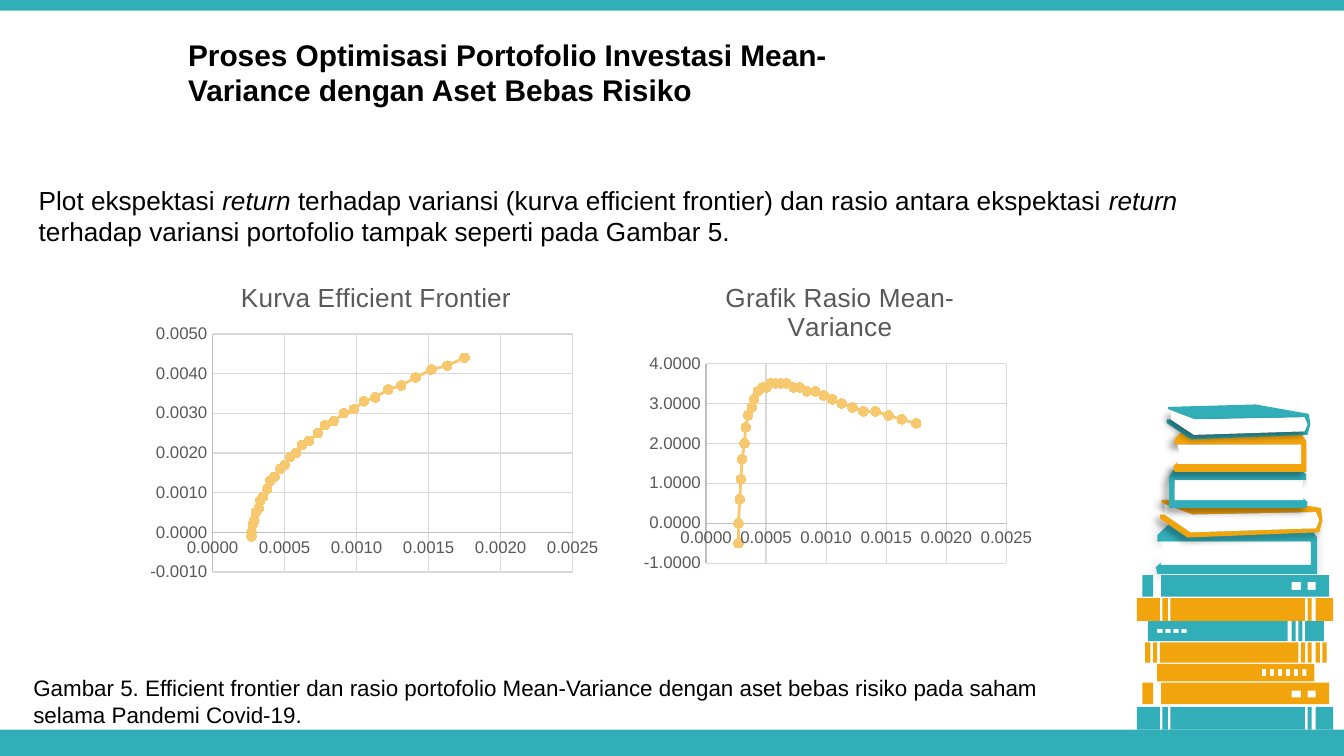
from dataclasses import dataclass

from lxml import etree
from pptx import Presentation
from pptx.chart.data import XyChartData
from pptx.dml.color import RGBColor
from pptx.enum.chart import XL_CHART_TYPE, XL_MARKER_STYLE, XL_TICK_MARK
from pptx.enum.shapes import MSO_SHAPE
from pptx.enum.text import MSO_ANCHOR, MSO_AUTO_SIZE, PP_ALIGN
from pptx.oxml import parse_xml
from pptx.oxml.ns import nsdecls, qn
from pptx.util import Inches, Pt

SCATTER_LINES = XL_CHART_TYPE.XY_SCATTER_LINES
CIRCLE = XL_MARKER_STYLE.CIRCLE
NO_TICK = XL_TICK_MARK.NONE
RECTANGLE = MSO_SHAPE.RECTANGLE
TOP = MSO_ANCHOR.TOP
GROW = MSO_AUTO_SIZE.SHAPE_TO_FIT_TEXT
LEFT = PP_ALIGN.LEFT


@dataclass(frozen=True)
class Theme:
    font: str = "Arial"
    text: str = "000000"
    teal: str = "32AEB8"
    orange: str = "F2A40D"
    paper: str = "FFFFFF"
    curve: str = "F7C86E"
    muted: str = "595959"
    axis: str = "BFBFBF"
    grid: str = "D9D9D9"
    title_size: int = 16
    body_size: int = 14
    caption_size: int = 12
    chart_size: int = 10
    chart_title_size: int = 14
    axis_size: int = 9


THEME = Theme()
SOFT_SHADOW = (20, 6, 1)
DEEP_SHADOW = (40, 4, 3)

CLOSED_COVER = [(.09, 0), (.01, .24), (.01, .37), (.96, .37), (.96, .82), (.03, .82), (.04, .76),
                (0, .87), (.01, 1), (1, 1), (1, .29), (.97, .15), (.89, 0)]
CLOSED_PAGES = [(.03, .37), (.96, .37), (.96, .82), (.03, .82), (.05, .6)]
TILTED_COVER = [(.03, .43), (0, .43), (0, .53), (.17, 1), (.98, .87), (1, .57), (.99, .27), (.62, 0),
                (.01, .07), (.01, .13), (.18, .43), (.96, .37), (.98, .57), (.96, .77), (.19, .87)]
TILTED_PAGES = [(.03, .17), (.03, .43), (.19, .87), (.96, .77), (.98, .57), (.96, .37), (.2, .43)]

STRIPED_BANDS = [(8.46, 8.63), (8.65, 8.69), (8.71, 9.71), (9.73, 9.76), (9.79, 9.92)]
LABELLED_BANDS = [(8.5, 8.58), (8.64, 9.89)]
NARROW_BANDS = [(8.61, 9.78)]
RIBBED_BANDS = [(8.52, 8.56), (8.58, 8.61), (8.63, 9.66), (9.68, 9.71), (9.73, 9.76), (9.79, 9.82), (9.84, 9.87)]
DOTTED_BANDS = [(8.54, 9.58), (9.61, 9.64), (9.66, 9.69), (9.71, 9.85)]

VARIANCE = [.00027, .00027, .00028, .00029, .0003, .00032, .00033, .00035, .00038, .0004,
            .00043, .00047, .0005, .00054, .00058, .00062, .00067, .00073, .00078, .00084,
            .00091, .00098, .00105, .00113, .00122, .00131, .00141, .00152, .00163, .00175]
EXPECTED_RETURN = [-.0001, 0, .0002, .0003, .0005, .0006, .0008, .0009, .0011, .0013,
                   .0014, .0016, .0017, .0019, .002, .0022, .0023, .0025, .0027, .0028,
                   .003, .0031, .0033, .0034, .0036, .0037, .0039, .0041, .0042, .0044]
RATIO = [-.5, 0, .6, 1.1, 1.6, 2, 2.4, 2.7, 2.9, 3.1, 3.3, 3.4, 3.4, 3.5, 3.5,
         3.5, 3.5, 3.4, 3.4, 3.3, 3.3, 3.2, 3.1, 3, 2.9, 2.8, 2.8, 2.7, 2.6, 2.5]


def color(value):
    return RGBColor.from_string(value)


def format_font(font, size, ink, bold=False, italic=False):
    font.name = THEME.font
    font.size = Pt(size)
    font.color.rgb = color(ink)
    font.bold = bold
    font.italic = italic


def fill_frame(frame, parts, *, size, bold=False):
    frame.word_wrap = True
    frame.auto_size = GROW
    frame.vertical_anchor = TOP
    paragraph = frame.paragraphs[0]
    paragraph.alignment = LEFT
    for index, part in enumerate(parts):
        run = paragraph.add_run()
        run.text = part
        format_font(run.font, size, THEME.text, bold, index % 2 == 1)


class SlideBuilder:
    def __init__(self, slide):
        self.slide = slide

    def title(self, text, box):
        shape = self.slide.shapes.title
        shape.left, shape.top, shape.width, shape.height = map(Inches, box)
        fill_frame(shape.text_frame, [text], size=THEME.title_size, bold=True)

    def text(self, parts, box, size):
        shape = self.slide.shapes.add_textbox(*map(Inches, box))
        fill_frame(shape.text_frame, parts, size=size)

    def paint(self, shape, fill):
        shape.fill.solid()
        shape.fill.fore_color.rgb = color(fill)
        shape.line.fill.background()
        shape.shadow.inherit = False

    def bar(self, box, fill):
        self.paint(self.slide.shapes.add_shape(RECTANGLE, *map(Inches, box)), fill)

    def outline(self, group, contours, fill, shadow=None):
        paths = [[(Inches(x), Inches(y)) for x, y in contour] for contour in contours]
        builder = group.shapes.build_freeform(*paths[0][0])
        builder.add_line_segments(paths[0][1:], close=True)
        for path in paths[1:]:
            builder.move_to(*path[0])
            builder.add_line_segments(path[1:], close=True)
        shape = builder.convert_to_shape()
        self.paint(shape, fill)
        if shadow:
            alpha, blur, distance = shadow
            effects = shape._element.spPr.find(qn("a:effectLst"))
            effects.append(parse_xml(
                f'<a:outerShdw {nsdecls("a")} blurRad="{Pt(blur)}" dist="{Pt(distance)}" dir="8100000" '
                f'algn="tr" rotWithShape="0"><a:srgbClr val="000000"><a:alpha val="{alpha * 1000}"/>'
                '</a:srgbClr></a:outerShdw>'))

    def book(self, group, box, cover, pages, fill, *, mirrored=False, cover_shadow=None, pages_shadow=None):
        left, top, width, height = box
        for points, ink, shadow in ((cover, fill, cover_shadow), (pages, THEME.paper, pages_shadow)):
            contour = [(left + width * (1 - x if mirrored else x), top + height * y) for x, y in points]
            self.outline(group, [contour], ink, shadow)

    def spine(self, group, top, height, bands, fill, windows=(), window_span=(0, 0)):
        spans = [(band, 0, height) for band in bands] + [(window, *window_span) for window in windows]
        contours = [[(left, top + start), (right, top + start), (right, top + end), (left, top + end)]
                    for (left, right), start, end in spans]
        self.outline(group, contours, fill)

    def axis(self, axis, low, high, step):
        axis.minimum_scale, axis.maximum_scale, axis.major_unit = low, high, step
        axis.major_tick_mark = axis.minor_tick_mark = NO_TICK
        axis.has_major_gridlines = True
        for line, ink in ((axis.major_gridlines.format.line, THEME.grid), (axis.format.line, THEME.axis)):
            line.color.rgb = color(ink)
            line.width = Pt(.75)
        axis.tick_labels.number_format = "0.0000"
        axis.tick_labels.number_format_is_linked = False
        format_font(axis.tick_labels.font, THEME.axis_size, THEME.muted)

    def scatter(self, title, values, box, value_range, plot_box):
        data = XyChartData()
        series_data = data.add_series("Series 1")
        for x, y in zip(VARIANCE, values):
            series_data.add_data_point(x, y)
        chart = self.slide.shapes.add_chart(SCATTER_LINES, *map(Inches, box), data).chart
        format_font(chart.font, THEME.chart_size, THEME.text)
        chart.has_legend = False
        chart.has_title = True
        chart.chart_title.include_in_layout = False
        run = chart.chart_title.text_frame.paragraphs[0].add_run()
        run.text = title
        format_font(run.font, THEME.chart_title_size, THEME.muted)
        self.axis(chart.category_axis, 0, .0025, .0005)
        self.axis(chart.value_axis, *value_range)
        plot = chart.plots[0]
        plot.vary_by_categories = False
        series = plot.series[0]
        series.smooth = False
        series.format.line.color.rgb = color(THEME.curve)
        series.format.line.width = Pt(1.5)
        series.marker.style = CIRCLE
        series.marker.size = 5
        series.marker.format.fill.solid()
        series.marker.format.fill.fore_color.rgb = color(THEME.curve)
        series.marker.format.line.color.rgb = color(THEME.curve)
        self.plot_layout(chart, plot_box)

    def plot_layout(self, chart, plot_box):
        area = chart._chartSpace.chart.plotArea
        for old in area.findall(qn("c:layout")):
            area.remove(old)
        layout = etree.Element(qn("c:layout"))
        manual = etree.SubElement(layout, qn("c:manualLayout"))
        settings = [("layoutTarget", "inner"), ("xMode", "edge"), ("yMode", "edge"), *zip("xywh", plot_box)]
        for name, value in settings:
            etree.SubElement(manual, qn(f"c:{name}"), val=str(value))
        area.insert(0, layout)


def add_books(builder):
    teal, orange = THEME.teal, THEME.orange
    stack = builder.slide.shapes.add_group_shape()
    closed, tilted = (CLOSED_COVER, CLOSED_PAGES), (TILTED_COVER, TILTED_PAGES)
    builder.book(stack, (8.6, 3.89, 1.2, .38), *closed, teal, cover_shadow=SOFT_SHADOW)
    builder.book(stack, (8.63, 3.7, 1.21, .3), *tilted, orange, cover_shadow=DEEP_SHADOW)
    builder.book(stack, (8.7, 3.45, 1.03, .33), *closed, teal, mirrored=True, cover_shadow=DEEP_SHADOW)
    builder.book(stack, (8.73, 3.19, .99, .32), *closed, orange, cover_shadow=DEEP_SHADOW)
    builder.book(stack, (8.68, 3.01, 1.07, .26), *tilted, teal, pages_shadow=DEEP_SHADOW)

    pile = builder.slide.shapes.add_group_shape()
    labels = [(9.61, 9.68), (9.73, 9.79)]
    right_dots = [(9.39 + .06 * index, 9.42 + .06 * index) for index in range(6)]
    left_dots = [(8.61 + .06 * index, 8.65 + .06 * index) for index in range(4)]
    builder.spine(pile, 5.26, .17, STRIPED_BANDS, teal)
    builder.spine(pile, 5.08, .16, LABELLED_BANDS, orange, labels, (.06, .11))
    builder.spine(pile, 4.94, .13, NARROW_BANDS, orange, right_dots, (.04, .09))
    builder.spine(pile, 4.78, .15, RIBBED_BANDS, orange)
    builder.spine(pile, 4.62, .15, DOTTED_BANDS, teal, left_dots, (.06, .09))
    builder.spine(pile, 4.45, .17, STRIPED_BANDS, orange)
    builder.spine(pile, 4.28, .16, LABELLED_BANDS, teal, labels, (.05, .11))


def main():
    presentation = Presentation()
    presentation.slide_width = Inches(10)
    presentation.slide_height = presentation.slide_width * 9 // 16
    builder = SlideBuilder(presentation.slides.add_slide(presentation.slide_layouts[5]))
    builder.bar((0, 5.43, 10, .2), THEME.teal)
    builder.bar((0, 0, 10, .08), THEME.teal)
    builder.title("Proses Optimisasi Portofolio Investasi Mean-Variance dengan Aset Bebas Risiko", (1.3, .22, 5.2, .64))
    builder.text(["Plot ekspektasi ", "return ", "terhadap variansi (kurva efficient frontier) dan rasio antara ekspektasi ",
                  "return ", "terhadap variansi portofolio tampak seperti pada Gambar 5."],
                 (.19, 1.32, 9.46, .57), THEME.body_size)
    add_books(builder)
    builder.text(["Gambar 5. Efficient frontier dan rasio portofolio Mean-Variance dengan aset bebas risiko "
                  "pada saham selama Pandemi Covid-19."], (.15, 4.97, 8.2, .5), THEME.caption_size)
    builder.scatter("Kurva Efficient Frontier", EXPECTED_RETURN, (1.06, 1.95, 3.48, 2.43),
                    (-.001, .005, .001), (.15, .22, .77, .73))
    builder.scatter("Grafik Rasio Mean-Variance", RATIO, (4.74, 1.95, 3.02, 2.36),
                    (-1, 4, 1), (.17, .32, .74, .63))
    presentation.save("out.pptx")


if __name__ == "__main__":
    main()
